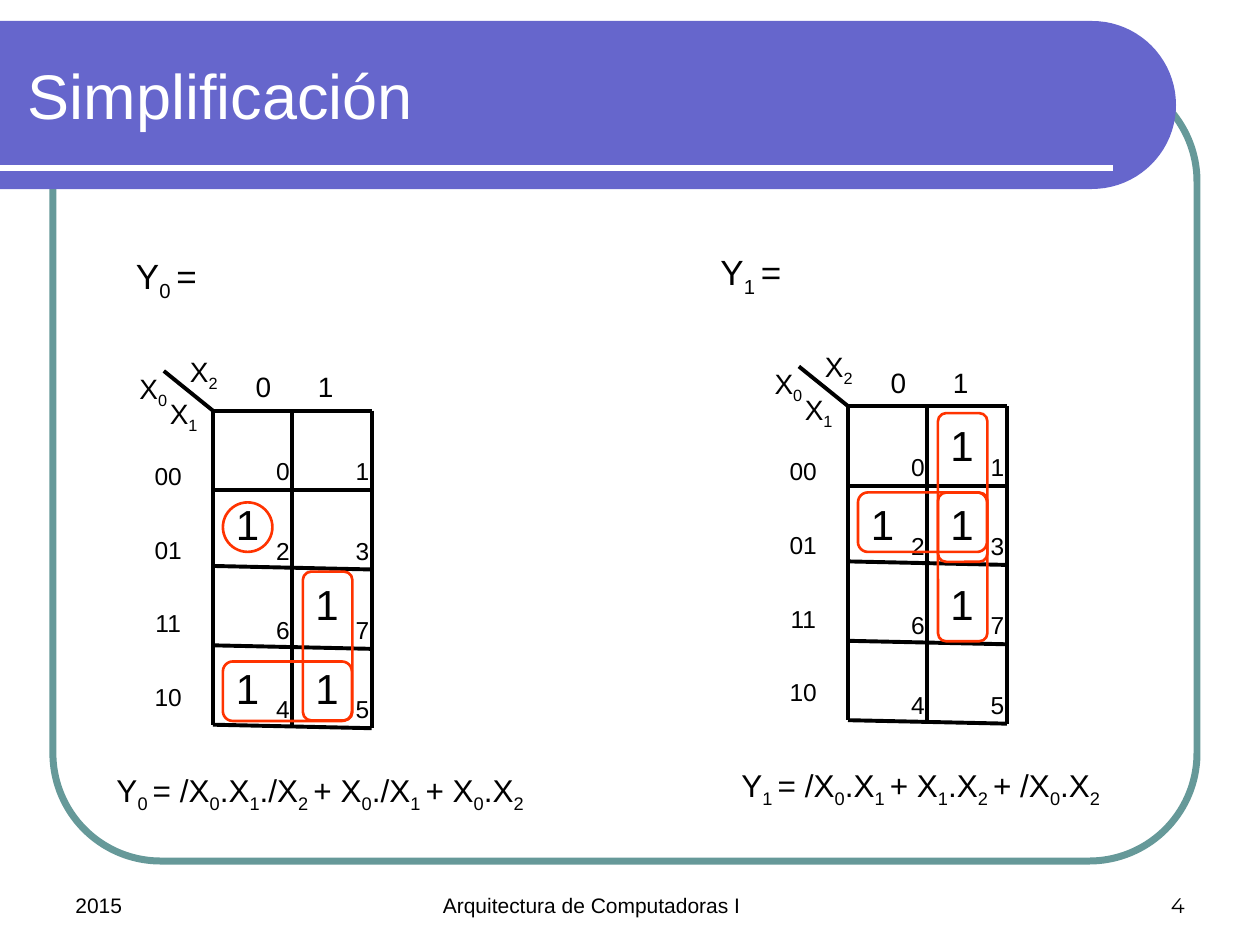
from math import cos, pi, sin

from lxml.etree import SubElement
from pptx import Presentation
from pptx.dml.color import RGBColor
from pptx.enum.shapes import MSO_CONNECTOR, MSO_SHAPE
from pptx.enum.text import MSO_ANCHOR, MSO_AUTO_SIZE, PP_ALIGN
from pptx.oxml.ns import qn
from pptx.util import Pt

BLACK = RGBColor(0x00, 0x00, 0x00)
WHITE = RGBColor(0xFF, 0xFF, 0xFF)
TEAL = RGBColor(0x66, 0x99, 0x99)
VIOLET = RGBColor(0x66, 0x66, 0xCC)
RED = RGBColor(0xFF, 0x33, 0x00)
CELL = 45.36
SKEW = 2

deck = Presentation()
deck.slide_width, deck.slide_height = Pt(720), Pt(540)
page = deck.slides.add_slide(deck.slide_layouts[5])
shapes = page.shapes


def add_line(x1, y1, x2, y2, color=BLACK, width=2.25):
    line = shapes.add_connector(MSO_CONNECTOR.STRAIGHT, Pt(x1), Pt(y1), Pt(x2), Pt(y2))
    line.line.color.rgb = color
    line.line.width = Pt(width)
    SubElement(line._element.spPr, qn("a:effectLst"))


def add_text(text, left, top, width, height, size, align=PP_ALIGN.LEFT,
             anchor=MSO_ANCHOR.TOP, font="Arial", spacing=None, tab=None):
    box = shapes.add_textbox(Pt(left), Pt(top), Pt(width), Pt(height))
    frame = box.text_frame
    frame.word_wrap = True
    frame.vertical_anchor = anchor
    for number, row in enumerate(text.split("\n")):
        para = frame.paragraphs[0] if number == 0 else frame.add_paragraph()
        para.alignment = align
        para.line_spacing = spacing
        if tab:
            stops = SubElement(para._p.get_or_add_pPr(), qn("a:tabLst"))
            SubElement(stops, qn("a:tab"), pos=str(Pt(tab)), algn="l")
        for index, piece in enumerate(row.split("|")):
            if not piece:
                continue
            span = para.add_run()
            span.text = piece
            for name, value in {"name": font, "size": Pt(size)}.items():
                setattr(span.font, name, value)
            span.font.color.rgb = BLACK
            if index % 2:
                span.font._element.set("baseline", "-25000")


frame_shape = shapes.add_shape(MSO_SHAPE.ROUNDED_RECTANGLE, Pt(30.25), Pt(42), Pt(653.75), Pt(450))
frame_shape.adjustments[0] = 0.137
frame_shape.shadow.inherit = False
frame_shape.fill.background()
frame_shape.line.color.rgb = TEAL
frame_shape.line.width = Pt(4)

arc = [(624 + 48 * sin(pi * step / 40), 60 - 48 * cos(pi * step / 40)) for step in range(41)]
outline = shapes.build_freeform(0, Pt(12))
outline.add_line_segments([(Pt(x), Pt(y)) for x, y in arc + [(0, 108)]], close=True)
band = outline.convert_to_shape()
band.shadow.inherit = False
band.fill.solid()
band.fill.fore_color.rgb = VIOLET
band.line.fill.background()
add_line(0, 96, 636, 96, WHITE, 3)

title = shapes.title
shapes._spTree.append(title._element)
for name, value in {"left": 8.75, "top": 18, "width": 499, "height": 72}.items():
    setattr(title, name, Pt(value))
title.text_frame.text = "Simplificación"
title.text_frame.auto_size = MSO_AUTO_SIZE.NONE
title.text_frame.vertical_anchor = MSO_ANCHOR.MIDDLE
heading = title.text_frame.paragraphs[0]
heading.alignment = PP_ALIGN.LEFT
for name, value in {"name": "Arial", "size": Pt(36)}.items():
    setattr(heading.font, name, value)
heading.font.color.rgb = WHITE

for text, left, width, align, font in [
    ("4", 516, 168, PP_ALIGN.RIGHT, "Montserrat"),
    ("Arquitectura de Computadoras I", 246, 228, PP_ALIGN.LEFT, "Arial"),
    ("2015", 36, 168, PP_ALIGN.LEFT, "Arial"),
]:
    add_text(text, left, 492, width, 36, 12, align, MSO_ANCHOR.BOTTOM, font)

for x, y in [(121.7, 234.7), (484.6, 232.1)]:
    for row in range(5):
        skew = SKEW if row > 1 else 0
        add_line(x + 2 * CELL, y + row * CELL, x, y + row * CELL - skew)
    for column in range(3):
        bottom = y + 4 * CELL - (0 if column else SKEW)
        add_line(x + column * CELL, y, x + column * CELL, bottom)
    add_line(x - 28.1, y - 22.7, x, y)
    for variable, dx, dy in [("X|2", -22.3, -35.7), ("X|0", -51.1, -26), ("X|1", -33.8, -11.5)]:
        add_text(variable, x + dx, y + dy, 34, 26.6, 16, PP_ALIGN.CENTER)
    add_text("00\n01\n11\n10", x - 45.4, y, 39.6, 169.2, 14, PP_ALIGN.CENTER, spacing=2.5)
    add_text("0\t1", x + 17.3, y - 26.8, 67.7, 26.6, 16, tab=35.6)
    for index, minterm in enumerate("01236745"):
        row, column = divmod(index, 2)
        add_text(minterm, x + 23 + column * CELL, y + 22.5 + row * CELL, 34, 24.2, 14, PP_ALIGN.CENTER)

ONE_TOPS = [236.2, 281.5, 326.9, 375.1]
for x, cells in [(121.7, [(3, 0), (1, 0), (2, 1), (3, 1)]),
                 (529.9 - CELL, [(0, 1), (1, 0), (1, 1), (2, 1)])]:
    for row, column in cells:
        add_text("1", x + column * CELL, ONE_TOPS[row], 39.6, 36, 24, PP_ALIGN.CENTER)

ROUNDED, OVAL = MSO_SHAPE.ROUNDED_RECTANGLE, MSO_SHAPE.OVAL
for kind, left, top, width, height, turn in [
    (ROUNDED, 127.4, 378, 73.7, 34, 0),
    (ROUNDED, 144.7, 355, 85, 28.3, 90),
    (OVAL, 127.4, 287.1, 28.3, 28.3, 0),
    (ROUNDED, 507.6, 309.8, 85, 28.3, 90),
    (ROUNDED, 507.6, 264.4, 85, 28.3, 90),
    (ROUNDED, 490.3, 281.4, 73.7, 34, 0),
]:
    loop = shapes.add_shape(kind, Pt(left), Pt(top), Pt(width), Pt(height))
    loop.rotation = turn
    loop.shadow.inherit = False
    loop.fill.background()
    loop.line.color.rgb = RED
    loop.line.width = Pt(1.5)

for text, left, top, width, height, size in [
    ("Y|0 |=", 70.6, 142, 56.9, 31.5, 20),
    ("Y|1 |=", 404.6, 139.6, 56.9, 31.5, 20),
    ("Y|0 |= /X|0|.X|1|./X|2 |+ X|0|./X|1 |+ X|0|.X|2", 59.5, 437.3, 266.4, 28.8, 18),
    ("Y|1 |= /X|0|.X|1 |+ X|1|.X|2 |+ /X|0|.X|2", 416.6, 434.2, 238.3, 28.8, 18),
]:
    add_text(text, left, top, width, height, size)

deck.save("out.pptx")
